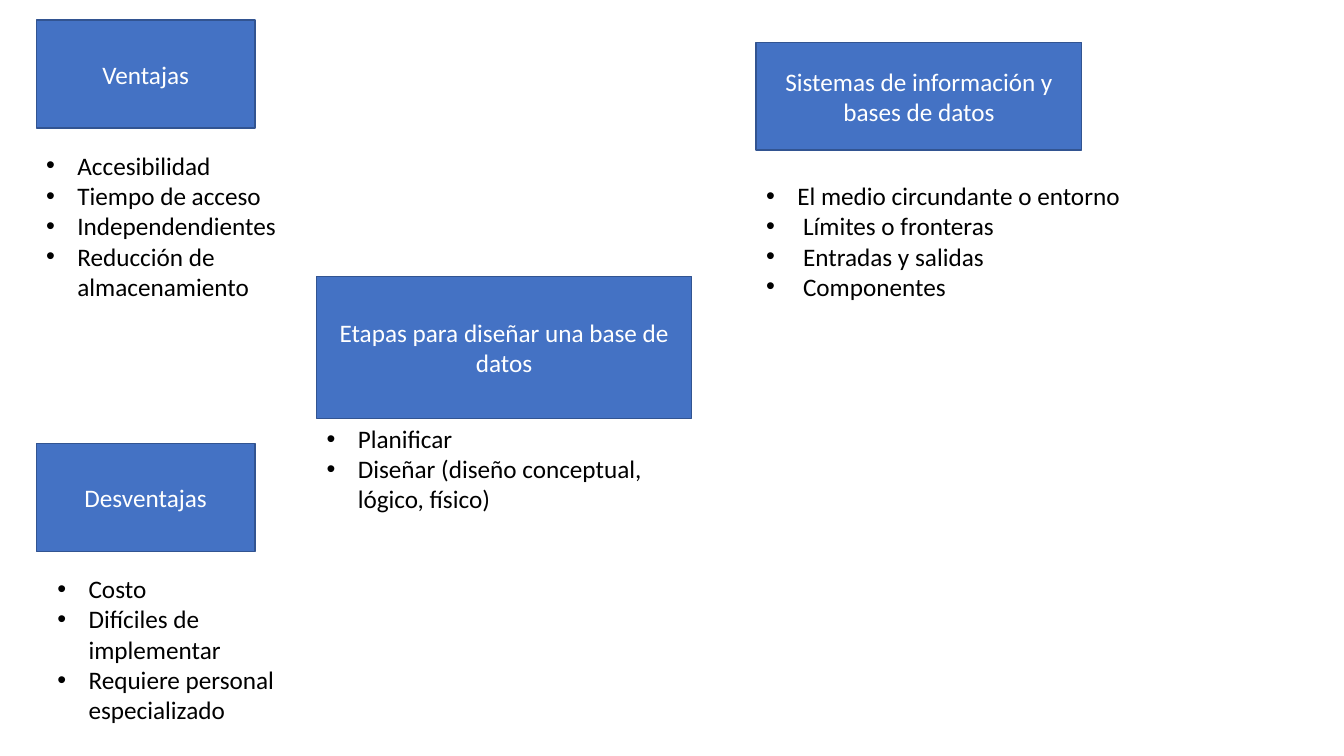
from pptx import Presentation, util as u
from pptx.dml.color import RGBColor
from pptx.enum import shapes, text
from pptx.oxml.ns import qn
from lxml import etree

BLUE = RGBColor(0x44, 0x72, 0xC4)
DARK_BLUE = RGBColor(0x32, 0x54, 0x91)
WHITE = RGBColor(0xFF, 0xFF, 0xFF)
BLACK = RGBColor(0x00, 0x00, 0x00)

# Columns of the layout and the height shared by the smaller headings
LEFT, MIDDLE, RIGHT = 0.36, 3.14, 7.5
HEADING_HEIGHT = 1.07
INDENT = u.Inches(0.31)

# Each topic: heading, its box, list items, their box (left, top, width, height)
topics = [
    ("Ventajas", (LEFT, 0.2, 2.17, HEADING_HEIGHT),
     ["Accesibilidad", "Tiempo de acceso", "Independendientes",
      "Reducción de almacenamiento"],
     (LEFT, 1.44, 3.23, 1.62)),
    ("Desventajas", (LEFT, 4.4, 2.17, HEADING_HEIGHT),
     ["Costo", "Difíciles de implementar", "Requiere personal especializado"],
     (LEFT + 0.11, 5.64, 2.42, 1.62)),
    ("Etapas para diseñar una base de datos", (MIDDLE, 2.74, 3.72, 1.41),
     ["Planificar", "Diseñar (diseño conceptual, lógico, físico)"],
     (MIDDLE, 4.15, 3.72, 1.31)),
    ("Sistemas de información y bases de datos",
     (RIGHT, 0.42, 3.23, HEADING_HEIGHT),
     ["El medio circundante o entorno", " Límites o fronteras",
      " Entradas y salidas", " Componentes"],
     (RIGHT, 1.74, 3.72, 1.31)),
]


def style(paragraph, color):
    paragraph.font.name = "Calibri"
    paragraph.font.size = u.Pt(18)
    paragraph.font.color.rgb = color


def add_bullet(paragraph):
    properties = paragraph._p.get_or_add_pPr()
    properties.set("marL", str(INDENT))
    properties.set("indent", str(-INDENT))
    bullet_font = etree.Element(qn("a:buFont"), typeface="Arial")
    bullet = etree.Element(qn("a:buChar"), char="•")
    properties.insert(0, bullet_font)
    properties.insert(1, bullet)


deck = Presentation()
deck.slide_width, deck.slide_height = u.Inches(13.33), u.Inches(7.5)
slide = deck.slides.add_slide(deck.slide_layouts[6])

for title, title_box, items, items_box in topics:
    # Heading in a blue rectangle
    heading = slide.shapes.add_shape(shapes.MSO_SHAPE.RECTANGLE,
                                     *map(u.Inches, title_box))
    heading.shadow.inherit = False
    heading.fill.solid()
    heading.fill.fore_color.rgb = BLUE
    heading.line.color.rgb = DARK_BLUE
    heading.line.width = u.Pt(1)
    heading.text_frame.word_wrap = True
    heading.text_frame.vertical_anchor = text.MSO_ANCHOR.MIDDLE
    heading.text_frame.text = title
    heading_line = heading.text_frame.paragraphs[0]
    heading_line.alignment = text.PP_ALIGN.CENTER
    style(heading_line, WHITE)

    # Bulleted list belonging to the heading
    points = slide.shapes.add_textbox(*map(u.Inches, items_box)).text_frame
    points.word_wrap = True
    points.auto_size = text.MSO_AUTO_SIZE.SHAPE_TO_FIT_TEXT
    points.text = "\n".join(items)
    for point in points.paragraphs:
        style(point, BLACK)
        add_bullet(point)

deck.save("out.pptx")
